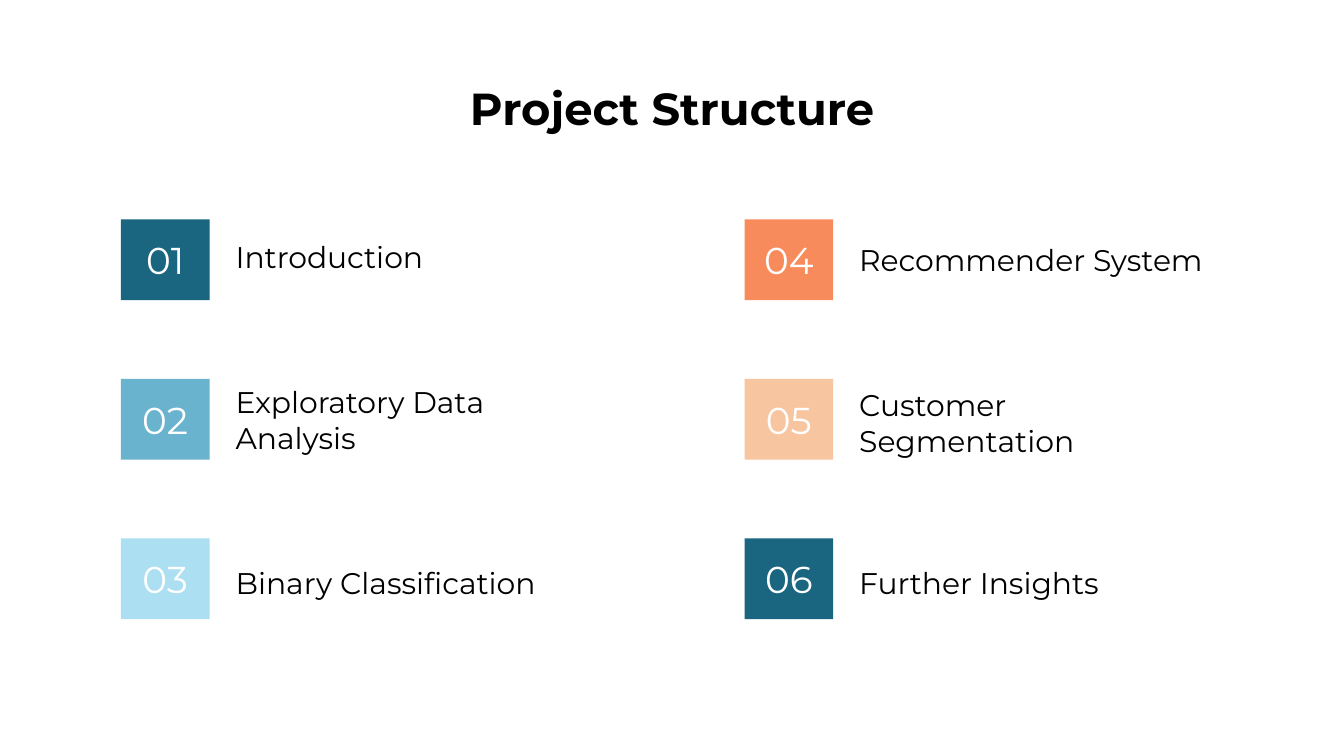
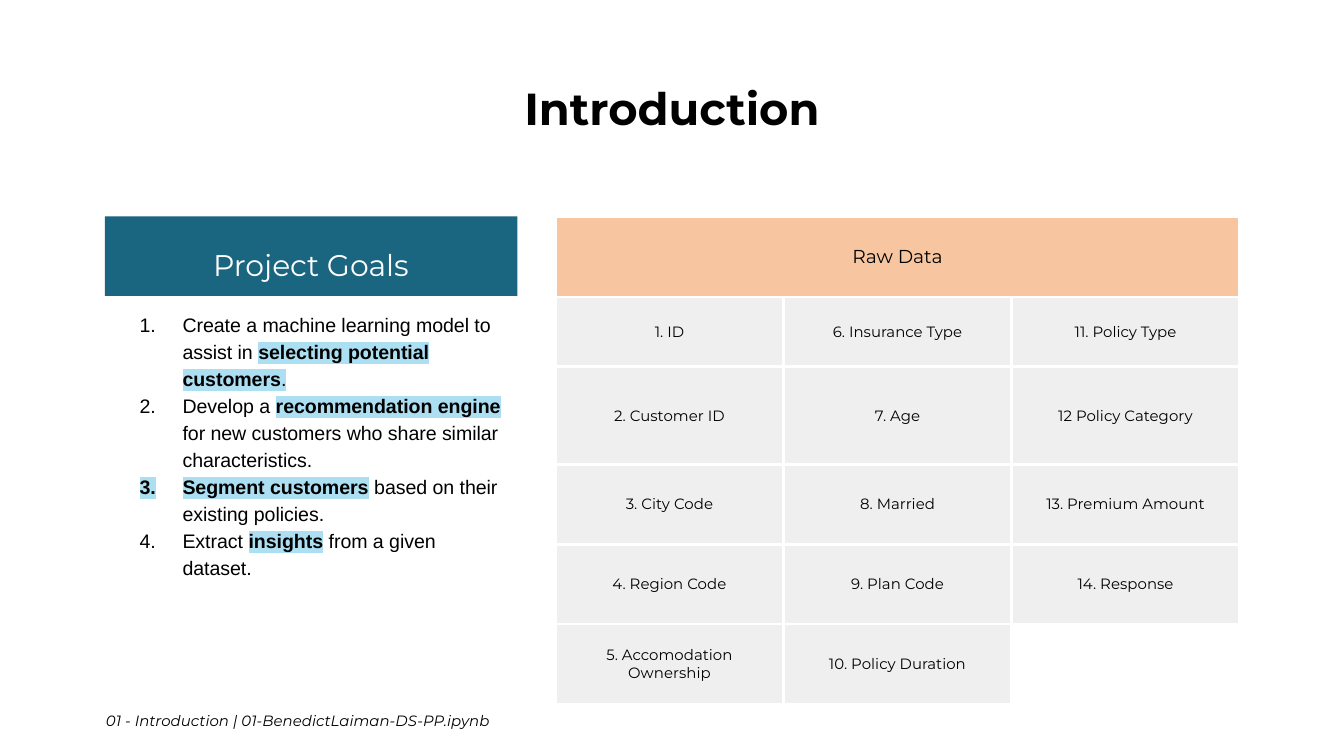
from dataclasses import dataclass
from itertools import product

from lxml import etree
from pptx import Presentation
from pptx import util as u
from pptx.dml.color import RGBColor
from pptx.enum import shapes, text
from pptx.oxml.ns import qn

COLUMNS, ROWS = 100, 56.25
CELL = u.Inches(0.1)
INSET = u.Inches(0.1)

COLORS = {
    "ink": "000000",
    "paper": "FFFFFF",
    "teal": "1A657F",
    "blue": "6AB3CE",
    "sky": "ABDFF1",
    "coral": "F88B5C",
    "peach": "F7C59F",
    "grey": "EFEFEF",
}

FORMATS = {
    "title": {"name": "Montserrat", "size": u.Pt(24), "bold": True},
    "badge": {"name": "Montserrat", "size": u.Pt(20)},
    "label": {"name": "Montserrat", "size": u.Pt(16)},
    "header": {"name": "Montserrat", "size": u.Pt(10)},
    "small": {"name": "Montserrat", "size": u.Pt(8)},
    "footer": {"name": "Montserrat", "size": u.Pt(8), "italic": True},
    "goal": {"name": "Arial", "size": u.Pt(10.5)},
    "key": {"name": "Arial", "size": u.Pt(10.5), "bold": True},
}

LEFT, CENTER = text.PP_ALIGN.LEFT, text.PP_ALIGN.CENTER
TOP, MIDDLE, BOTTOM = text.MSO_ANCHOR.TOP, text.MSO_ANCHOR.MIDDLE, text.MSO_ANCHOR.BOTTOM
FIXED, GROWING = text.MSO_AUTO_SIZE.NONE, text.MSO_AUTO_SIZE.SHAPE_TO_FIT_TEXT


@dataclass(frozen=True)
class Area:
    left: float
    top: float
    width: float
    height: float

    def lengths(self) -> list:
        return [grid(n) for n in (self.left, self.top, self.width, self.height)]


@dataclass(frozen=True)
class Topic:
    number: str
    label: str
    color: str
    label_height: float = 6.5


@dataclass(frozen=True)
class Span:
    words: str
    style: str = "goal"
    marked: bool = False


TITLE = Area(7.8, 5, 84.4, 6)
FOOTER = Area(6.9, 52.3, 85.3, 2.2)
GOALS_BAND = Area(7.8, 16.1, 30.7, 5.93)
GOALS_LIST = Area(7.6, 22.05, 31.1, 22.1)

TOPIC_ROWS = 3
TOPICS = (
    Topic("01", "Introduction", "teal"),
    Topic("02", "Exploratory Data Analysis", "blue"),
    Topic("03", "Binary Classification", "sky"),
    Topic("04", "Recommender System", "coral", 6),
    Topic("05", "Customer Segmentation", "peach", 6),
    Topic("06", "Further Insights", "teal"),
)

GOALS = (
    (
        Span("Create a machine learning model to assist in "),
        Span("selecting potential customers", "key", True),
        Span(".", marked=True),
    ),
    (
        Span("Develop a "),
        Span("recommendation engine", "key", True),
        Span(" for new customers who share similar characteristics."),
    ),
    (
        Span("Segment customers", "key", True),
        Span(" based on their existing policies."),
    ),
    (
        Span("Extract "),
        Span("insights", "key", True),
        Span(" from a given dataset."),
    ),
)

RAW_DATA_ROWS = (5.93, 5.2, 7.3, 5.93, 5.93, 5.93)
RAW_DATA_COLUMN = 16.97
RAW_DATA = (
    ("1. ID", "2. Customer ID", "3. City Code", "4. Region Code", "5. Accomodation Ownership"),
    ("6. Insurance Type", "7. Age", "8. Married", "9. Plan Code", "10. Policy Duration"),
    ("11. Policy Type", "12 Policy Category", "13. Premium Amount", "14. Response"),
)


def grid(cells: float) -> int:
    return round(cells * CELL)


def color(name: str) -> RGBColor:
    return RGBColor.from_string(COLORS[name])


def add_color(parent, tag: str, name: str):
    node = etree.SubElement(parent, qn(tag))
    etree.SubElement(node, qn("a:srgbClr")).set("val", COLORS[name])
    return node


def write(para, words: str, style: str, ink: str = "ink"):
    span = para.add_run()
    span.text = words
    for attribute, value in FORMATS[style].items():
        setattr(span.font, attribute, value)
    span.font.color.rgb = color(ink)
    return span


def set_frame(frame, anchor, sizing=FIXED) -> None:
    settings = {"word_wrap": True, "vertical_anchor": anchor, "auto_size": sizing}
    settings |= {f"margin_{side}": INSET for side in ("left", "top", "right", "bottom")}
    for attribute, value in settings.items():
        setattr(frame, attribute, value)


def add_text(page, area: Area, words: str, style: str,
             align=LEFT, anchor=TOP, sizing=FIXED) -> None:
    frame = page.shapes.add_textbox(*area.lengths()).text_frame
    set_frame(frame, anchor, sizing)
    frame.paragraphs[0].alignment = align
    write(frame.paragraphs[0], words, style)


def add_block(page, area: Area, words: str, style: str, fill: str, anchor=MIDDLE) -> None:
    box = page.shapes.add_shape(shapes.MSO_SHAPE.RECTANGLE, *area.lengths())
    box.shadow.inherit = False
    box.fill.solid()
    box.fill.fore_color.rgb = color(fill)
    box.line.fill.background()
    set_frame(box.text_frame, anchor)
    para = box.text_frame.paragraphs[0]
    para.alignment = CENTER
    write(para, words, style, "paper")


def add_page(deck, title: str):
    page = deck.slides.add_slide(deck.slide_layouts[6])
    page.background.fill.solid()
    page.background.fill.fore_color.rgb = color("paper")
    add_text(page, TITLE, title, "title", CENTER)
    return page


def add_topic(page, index: int, topic: Topic) -> None:
    column, row = divmod(index, TOPIC_ROWS)
    left = 9 + 46.4 * column
    label_bottom = 22.33 + 12.13 * row
    badge = Area(left, 16.33 + 11.87 * row, 6.6, 6)
    label = Area(left + 7.55, label_bottom - topic.label_height, 29.3, topic.label_height)
    add_block(page, badge, topic.number, "badge", topic.color)
    add_text(page, label, topic.label, "label", anchor=MIDDLE)


def number_paragraph(para) -> None:
    properties = para._p.get_or_add_pPr()
    properties.set("marL", str(u.Inches(0.5)))
    properties.set("indent", str(u.Inches(-0.32)))
    add_color(properties, "a:buClr", "ink")
    etree.SubElement(properties, qn("a:buFont")).set("typeface", "Arial")
    etree.SubElement(properties, qn("a:buAutoNum")).set("type", "arabicPeriod")


def highlight(span, name: str) -> None:
    properties = span._r.get_or_add_rPr()
    mark = add_color(properties, "a:highlight", name)
    properties.find(qn("a:solidFill")).addnext(mark)


def add_goals(page) -> None:
    frame = page.shapes.add_textbox(*GOALS_LIST.lengths()).text_frame
    set_frame(frame, TOP, GROWING)
    for index, goal in enumerate(GOALS):
        para = frame.add_paragraph() if index else frame.paragraphs[0]
        para.line_spacing = 1.15
        para.space_before = u.Pt(0 if index else 11)
        number_paragraph(para)
        for part in goal:
            span = write(para, part.words, part.style)
            if part.marked:
                highlight(span, "sky")


def add_borders(cell) -> None:
    properties = cell._tc.get_or_add_tcPr()
    for position, side in enumerate("LRTB"):
        line = etree.Element(qn(f"a:ln{side}"), w=str(u.Pt(1.5)))
        add_color(line, "a:solidFill", "paper")
        properties.insert(position, line)


def fill_cell(cell, words: str, style: str, fill: str) -> None:
    cell.fill.solid()
    cell.fill.fore_color.rgb = color(fill)
    cell.vertical_anchor = MIDDLE
    for side in ("left", "top", "right", "bottom"):
        setattr(cell, f"margin_{side}", INSET)
    para = cell.text_frame.paragraphs[0]
    para.alignment = CENTER
    write(para, words, style)


def add_raw_data(page) -> None:
    rows, columns = len(RAW_DATA_ROWS), len(RAW_DATA)
    area = Area(41.33, 16.15, RAW_DATA_COLUMN * columns, sum(RAW_DATA_ROWS))
    table = page.shapes.add_table(rows, columns, *area.lengths()).table
    table.first_row = table.horz_banding = False
    for row, height in zip(table.rows, RAW_DATA_ROWS):
        row.height = grid(height)
    for column in table.columns:
        column.width = grid(RAW_DATA_COLUMN)
    for row, column in product(range(rows), range(columns)):
        cell = table.cell(row, column)
        cell.fill.background()
        add_borders(cell)
    table.cell(0, 0).merge(table.cell(0, columns - 1))
    fill_cell(table.cell(0, 0), "Raw Data", "header", "peach")
    for column, fields in enumerate(RAW_DATA):
        for row, field in enumerate(fields, 1):
            fill_cell(table.cell(row, column), field, "small", "grey")


def build_structure(deck) -> None:
    page = add_page(deck, "Project Structure")
    for index, topic in enumerate(TOPICS):
        add_topic(page, index, topic)


def build_introduction(deck) -> None:
    page = add_page(deck, "Introduction")
    source = "01 - Introduction | 01-BenedictLaiman-DS-PP.ipynb"
    add_text(page, FOOTER, source, "footer", sizing=GROWING)
    add_raw_data(page)
    add_goals(page)
    add_block(page, GOALS_BAND, "Project Goals", "label", "teal", BOTTOM)


def main() -> None:
    deck = Presentation()
    deck.slide_width, deck.slide_height = grid(COLUMNS), grid(ROWS)
    build_structure(deck)
    build_introduction(deck)
    deck.save("out.pptx")


if __name__ == "__main__":
    main()
